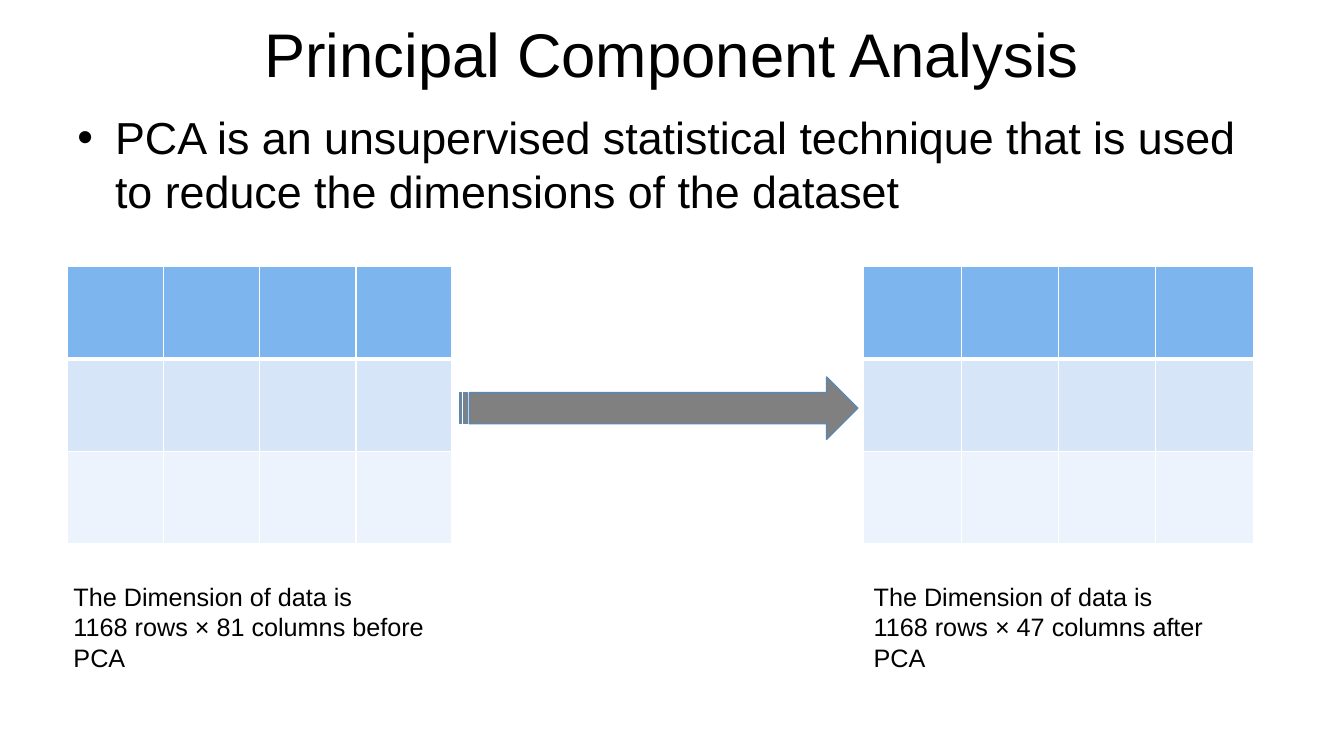
from lxml.etree import SubElement
from pptx import Presentation
from pptx.dml.color import RGBColor
from pptx.enum.shapes import MSO_SHAPE as Shape
from pptx.enum.text import MSO_ANCHOR as Anchor, MSO_AUTO_SIZE as AutoSize, PP_ALIGN as Align
from pptx.oxml.ns import qn
from pptx.util import Pt

# Content
TITLE = "Principal Component Analysis"
POINT = "PCA is an unsupervised statistical technique that is used to reduce the dimensions of the dataset"
# (table left, table width, caption left, caption lines)
DATASETS = [
    (48.2, 274.8, 45.4, ["The Dimension of data is", "1168 rows × 81 columns before PCA"]),
    (617, 278.2, 617, ["The Dimension of data is", "1168 rows × 47 columns after PCA"]),
]

# Style
FONT = "Arial"
BLACK = RGBColor(0, 0, 0)
WHITE = RGBColor(255, 255, 255)
GRAY = RGBColor(0x80, 0x80, 0x80)
ARROW_LINE = RGBColor(0x5C, 0x87, 0xB1)
ROW_FILLS = [RGBColor(0x7D, 0xB6, 0xEF), RGBColor(0xD7, 0xE5, 0xF9), RGBColor(0xEC, 0xF3, 0xFC)]
COLUMNS = 4
TABLE_TOP, TABLE_HEIGHT = 190, 198.6
CAPTION_TOP, CAPTION_WIDTH, CAPTION_HEIGHT = 411.8, 278, 72.7


def place(shape, left, top, width, height):
    shape.left, shape.top, shape.width, shape.height = map(Pt, (left, top, width, height))


def style_text(paragraph, size):
    paragraph.font.name = FONT
    paragraph.font.size = Pt(size)
    paragraph.font.color.rgb = BLACK


def add_border(cell, side, width):
    properties = cell._tc.get_or_add_tcPr()
    line = SubElement(properties, qn(f"a:ln{side}"), w=str(Pt(width)))
    SubElement(SubElement(line, qn("a:solidFill")), qn("a:srgbClr"), val=str(WHITE))


def add_data_table(slide, left, width):
    table = slide.shapes.add_table(
        len(ROW_FILLS), COLUMNS, Pt(left), Pt(TABLE_TOP), Pt(width), Pt(TABLE_HEIGHT)).table
    for row_index, row in enumerate(table.rows):
        for cell in row.cells:
            for side in "LRTB":
                under_header = (row_index, side) in ((0, "B"), (1, "T"))
                add_border(cell, side, 3 if under_header else 1)
            cell.fill.solid()
            cell.fill.fore_color.rgb = ROW_FILLS[row_index]


def add_caption(slide, left, lines):
    caption = slide.shapes.add_textbox(
        Pt(left), Pt(CAPTION_TOP), Pt(CAPTION_WIDTH), Pt(CAPTION_HEIGHT))
    frame = caption.text_frame
    frame.word_wrap = True
    frame.text = "\n".join(lines)
    for paragraph in frame.paragraphs:
        style_text(paragraph, 18)


def main():
    presentation = Presentation()
    presentation.slide_width, presentation.slide_height = Pt(960), Pt(540)
    slide = presentation.slides.add_slide(presentation.slide_layouts[1])

    # Title and bullet
    title, body = slide.placeholders
    place(title, 48, 0.7, 864, 74.2)
    place(body, 48, 74.9, 864, 407.5)
    for placeholder, text, size in ((title, TITLE, 44), (body, POINT, 32)):
        frame = placeholder.text_frame
        frame.text = text
        frame.auto_size = AutoSize.NONE
        style_text(frame.paragraphs[0], size)
    title.text_frame.vertical_anchor = Anchor.MIDDLE
    title.text_frame.paragraphs[0].alignment = Align.CENTER
    body.text_frame.paragraphs[0].space_before = Pt(0)

    # Tables and captions
    for table_left, table_width, caption_left, lines in DATASETS:
        add_data_table(slide, table_left, table_width)
        add_caption(slide, caption_left, lines)

    # Arrow from the first table to the second
    arrow = slide.shapes.add_shape(
        Shape.STRIPED_RIGHT_ARROW, Pt(328.3), Pt(269.3), Pt(284.4), Pt(44.6))
    arrow.shadow.inherit = False
    arrow.fill.solid()
    arrow.fill.fore_color.rgb = GRAY
    arrow.line.color.rgb = ARROW_LINE
    arrow.line.width = Pt(1)

    presentation.save("out.pptx")


if __name__ == "__main__":
    main()
